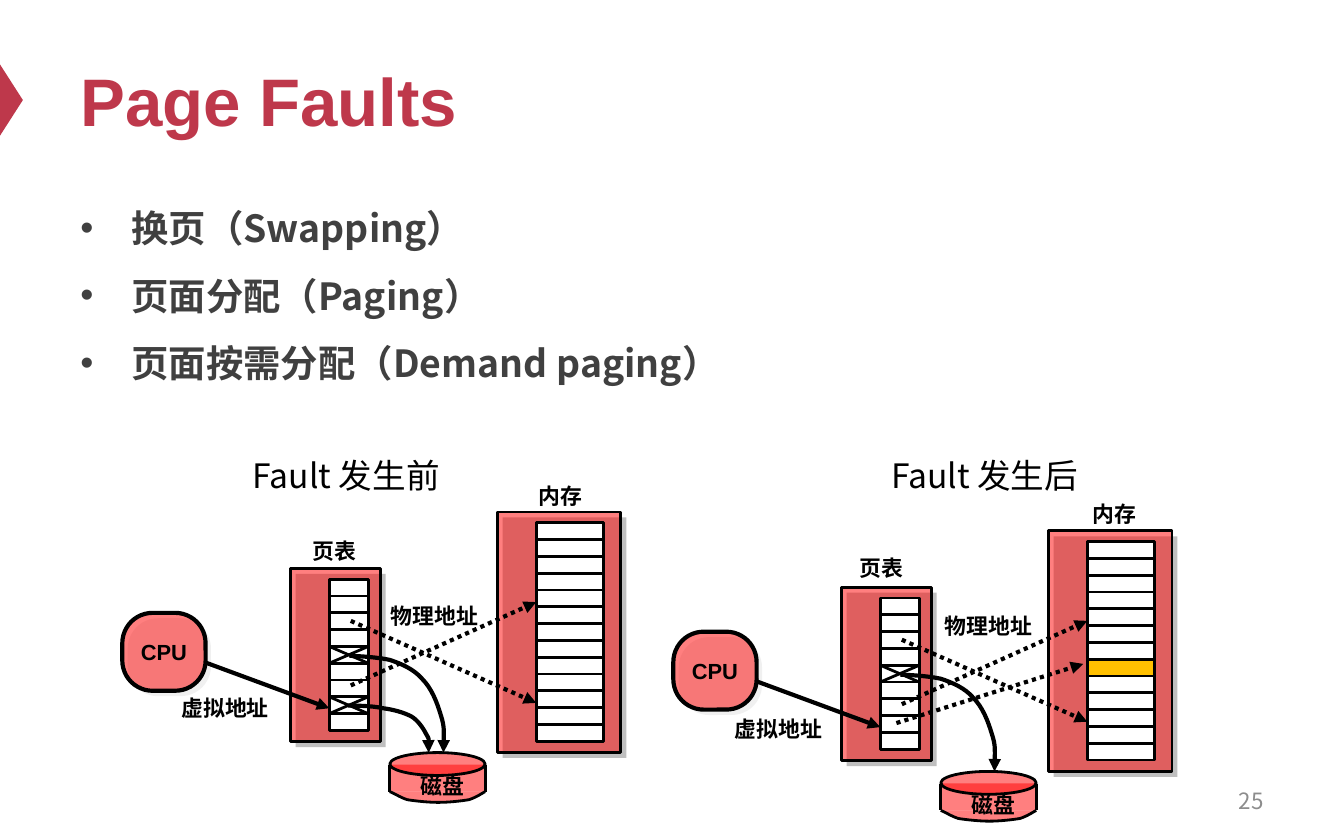
from dataclasses import dataclass
from typing import Optional

from lxml import etree
from pptx import Presentation
from pptx.dml.color import RGBColor
from pptx.enum import dml, shapes, text
from pptx.oxml.ns import qn
from pptx.util import Inches, Pt

Point = tuple[float, float]


@dataclass(frozen=True)
class Theme:
    accent: str = "BE384B"
    body: str = "404040"
    number: str = "8C8C8C"
    ink: str = "000000"
    red: str = "FF0000"
    cell: str = "FFFFFF"
    loaded: str = "FFC000"
    shadow: str = "BFBFBF"
    cpu_shadow: str = "F0F0F0"
    latin: str = "Arial"
    cjk: str = "Noto Sans CJK SC"
    title_size: float = 36
    body_size: float = 20
    caption_size: float = 18
    number_size: float = 12
    label_size: float = 11.7
    thin: float = 1.5
    thick: float = 2.25


@dataclass(frozen=True)
class Label:
    words: str
    left: float
    top: float
    width: float = 0.5
    spacing: float = 0.9


@dataclass(frozen=True)
class Panel:
    """One state of the system; dx and dy move the shared drawing."""
    caption: Label
    dx: float
    dy: float
    labels: tuple[Label, ...]
    swapped_rows: tuple[int, ...]
    disk_curves: tuple[tuple[Point, ...], ...]
    loaded_row: Optional[int] = None
    extra_mapping: tuple[tuple[Point, Point], ...] = ()

    def at(self, point: Point) -> Point:
        return point[0] + self.dx, point[1] + self.dy


THEME = Theme()
ROW_PITCH = 0.125
MAPPINGS = (((2.61, 4.62), (3.99, 5.23)), ((2.61, 5.1), (3.99, 4.48)))
DISK_BOTTOM = ((2.9, 5.89), (2.93, 5.9), (2.97, 5.93), (3.03, 5.95), (3.09, 5.96),
               (3.19, 5.97), (3.26, 5.97), (3.34, 5.97), (3.43, 5.96), (3.49, 5.95),
               (3.55, 5.93), (3.59, 5.9), (3.61, 5.89))
UPPER_CURVE = ((2.6, 4.88), (2.65, 4.88), (2.81, 4.89), (2.9, 4.91), (2.99, 4.94),
               (3.08, 4.98), (3.14, 5.05), (3.21, 5.12), (3.25, 5.22), (3.28, 5.32),
               (3.31, 5.41), (3.3, 5.54), (3.3, 5.6))
LOWER_CURVE = ((2.59, 5.25), (2.63, 5.25), (2.77, 5.25), (2.85, 5.27), (2.93, 5.28),
               (3, 5.3), (3.06, 5.33), (3.11, 5.36), (3.15, 5.42), (3.17, 5.46),
               (3.2, 5.51), (3.19, 5.57), (3.19, 5.6))
PANELS = (
    Panel(Label("Fault 发生前", 1.8, 3.38, 1.58), 0, 0,
          (Label("内存", 3.92, 3.57), Label("页表", 2.24, 3.98), Label("磁盘", 3.04, 5.73),
           Label("虚拟地址", 1.26, 5.17, 0.83, 0.8), Label("物理地址", 2.82, 4.48, 0.83, 0.8)),
          (4, 7), (UPPER_CURVE, LOWER_CURVE)),
    Panel(Label("Fault 发生后", 6.55, 3.38, 1.58), 4.1, 0.14,
          (Label("内存", 8.04, 3.71), Label("页表", 6.31, 4.11), Label("磁盘", 7.14, 5.87),
           Label("虚拟地址", 5.38, 5.32, 0.83, 0.8), Label("物理地址", 6.94, 4.56, 0.83, 0.8)),
          (4,), (UPPER_CURVE,), 7, (((2.57, 5.24), (3.96, 4.8)),)),
)


def style_font(paragraph, size: float, color: str, latin: str, bold: bool = False) -> None:
    font = paragraph.font
    font.size, font.bold, font.name = Pt(size), bold, latin
    font.color.rgb = RGBColor.from_string(color)
    etree.SubElement(font._element, qn("a:ea"), typeface=THEME.cjk)


def add_words(slide, words: str, left: float, top: float, width: float, height: float):
    frame = slide.shapes.add_textbox(Inches(left), Inches(top), Inches(width), Inches(height)).text_frame
    frame.word_wrap = True
    frame.text = words
    return frame


def tighten(frame) -> None:
    frame.margin_left = frame.margin_right = Inches(0.08)
    frame.margin_top = frame.margin_bottom = Inches(0.04)


def add_label(slide, label: Label) -> None:
    frame = add_words(slide, label.words, label.left, label.top, label.width, 0.26)
    tighten(frame)
    frame.word_wrap = False
    frame.auto_size = text.MSO_AUTO_SIZE.SHAPE_TO_FIT_TEXT
    frame.paragraphs[0].line_spacing = label.spacing
    frame.paragraphs[0].alignment = text.PP_ALIGN.CENTER
    style_font(frame.paragraphs[0], THEME.label_size, THEME.ink, THEME.latin, True)


def paint(shape, fill: Optional[str], line: float = 0, see_through: bool = False) -> None:
    shape.shadow.inherit = False
    if fill:
        shape.fill.solid()
        shape.fill.fore_color.rgb = RGBColor.from_string(fill)
        if see_through:
            color = shape._element.spPr.find(qn("a:solidFill"))[0]
            etree.SubElement(color, qn("a:alpha"), val="50000")
    else:
        shape.fill.background()
    if line:
        shape.line.width = Pt(line)
        shape.line.color.rgb = RGBColor.from_string(THEME.ink)
    else:
        shape.line.fill.background()


def add_block(slide, kind, origin: Point, width: float, height: float, fill: str,
              line: float = 0, see_through: bool = False):
    block = slide.shapes.add_shape(kind, Inches(origin[0]), Inches(origin[1]), Inches(width), Inches(height))
    paint(block, fill, line, see_through)
    return block


def add_arrowhead(line) -> None:
    etree.SubElement(line._get_or_add_ln(), qn("a:tailEnd"), type="triangle")


def add_line(slide, start: Point, end: Point, width: float = THEME.thin,
             arrow: bool = False, dotted: bool = False) -> None:
    link = slide.shapes.add_connector(shapes.MSO_CONNECTOR.STRAIGHT, *map(Inches, (*start, *end)))
    link.line.width = Pt(width)
    link.line.color.rgb = RGBColor.from_string(THEME.ink)
    if dotted:
        link.line.dash_style = dml.MSO_LINE.ROUND_DOT
    if arrow:
        add_arrowhead(link.line)
    etree.SubElement(link._element.spPr, qn("a:effectLst"))


def add_curve(slide, points: list[Point]):
    """Open Bézier chain: a start, then three points for each segment."""
    spots = [(Inches(x), Inches(y)) for x, y in points]
    builder = slide.shapes.build_freeform(*spots[0])
    builder.add_line_segments(spots[1:], close=False)
    curve = builder.convert_to_shape()
    steps = list(curve._element.iter(qn("a:lnTo")))
    for first in range(0, len(steps), 3):
        bezier = etree.Element(qn("a:cubicBezTo"))
        steps[first].addprevious(bezier)
        for step in steps[first:first + 3]:
            bezier.append(step[0])
            step.getparent().remove(step)
    return curve


def add_page_frame(slide, origin: Point, width: float, cell_width: float, rows: int,
                   loaded_row: Optional[int] = None) -> list[Point]:
    """Draw a shadowed frame of cells and return the corners of the cells."""
    rect, height = shapes.MSO_SHAPE.RECTANGLE, rows * ROW_PITCH + 0.165
    left, top = origin
    add_block(slide, rect, (left + 0.04, top + 0.04), width, height, THEME.shadow)
    add_block(slide, rect, origin, width, height, THEME.red, THEME.thin, True)
    corners = [(left + 0.29, top + 0.08 + row * ROW_PITCH) for row in range(rows)]
    for row, corner in enumerate(corners):
        fill = THEME.loaded if row == loaded_row else THEME.cell
        add_block(slide, rect, corner, cell_width, ROW_PITCH, fill, THEME.thin)
    return corners


def add_cpu(slide, origin: Point) -> None:
    rounded = shapes.MSO_SHAPE.ROUNDED_RECTANGLE
    shade = add_block(slide, rounded, (origin[0] + 0.04, origin[1] + 0.04), 0.62, 0.58, THEME.cpu_shadow)
    cpu = add_block(slide, rounded, origin, 0.62, 0.58, THEME.red, THEME.thick, True)
    shade.adjustments[0] = cpu.adjustments[0] = 0.39
    frame = cpu.text_frame
    tighten(frame)
    frame.word_wrap = False
    frame.text = "CPU"
    frame.vertical_anchor = text.MSO_ANCHOR.MIDDLE
    frame.paragraphs[0].alignment = text.PP_ALIGN.CENTER
    style_font(frame.paragraphs[0], THEME.label_size, THEME.ink, THEME.latin, True)


def add_disk(slide, panel: Panel) -> None:
    add_block(slide, shapes.MSO_SHAPE.RECTANGLE, panel.at((2.9, 5.69)), 0.71, 0.2, THEME.red, 0, True)
    add_block(slide, shapes.MSO_SHAPE.OVAL, panel.at((2.9, 5.6)), 0.71, 0.17, THEME.red, THEME.thin, True)
    for side in (2.9, 3.61):
        add_line(slide, panel.at((side, 5.69)), panel.at((side, 5.89)))
    paint(add_curve(slide, [panel.at(p) for p in DISK_BOTTOM]), THEME.red, THEME.thin, True)


def add_panel(slide, panel: Panel) -> None:
    add_cpu(slide, panel.at((0.91, 4.56)))
    add_page_frame(slide, panel.at((3.7, 3.81)), 0.92, 0.5, 13, panel.loaded_row)
    entries = add_page_frame(slide, panel.at((2.16, 4.23)), 0.67, 0.29, 9)
    for row in panel.swapped_rows:
        left, top = entries[row]
        right, bottom = left + 0.29, top + ROW_PITCH
        add_line(slide, (left, bottom), (right, top))
        add_line(slide, (right, bottom), (left, top))
    for start, end in MAPPINGS + panel.extra_mapping:
        add_line(slide, panel.at(start), panel.at(end), THEME.thick, arrow=True, dotted=True)
    add_disk(slide, panel)
    for points in panel.disk_curves:
        curve = add_curve(slide, [panel.at(p) for p in points])
        paint(curve, None, THEME.thick)
        add_arrowhead(curve.line)
    for label in panel.labels:
        add_label(slide, label)
    add_line(slide, panel.at((1.53, 4.93)), panel.at((2.45, 5.27)), THEME.thick, arrow=True)
    caption = panel.caption
    frame = add_words(slide, caption.words, caption.left, caption.top, caption.width, 0.35)
    tighten(frame)
    frame.paragraphs[0].line_spacing = caption.spacing
    style_font(frame.paragraphs[0], THEME.caption_size, THEME.ink, THEME.cjk)


def add_headings(slide) -> None:
    marker = add_block(slide, shapes.MSO_SHAPE.ISOSCELES_TRIANGLE, (-0.18, 0.66), 0.53, 0.17, THEME.accent)
    marker.rotation = 90
    title = add_words(slide, "Page Faults", 0.5, 0.25, 9, 0.98)
    title.vertical_anchor = text.MSO_ANCHOR.MIDDLE
    style_font(title.paragraphs[0], THEME.title_size, THEME.accent, THEME.latin, True)
    topics = add_words(slide, "换页（Swapping）\n页面分配（Paging）\n页面按需分配（Demand paging）", 0.5, 1.48, 9, 1.27)
    for topic in topics.paragraphs:
        topic.space_after = Pt(12)
        style_font(topic, THEME.body_size, THEME.body, THEME.cjk, True)
        layout = topic._p.get_or_add_pPr()
        layout.set("marL", str(Inches(0.38)))
        layout.set("indent", str(-Inches(0.38)))
        bullet_font, bullet = etree.Element(qn("a:buFont"), typeface=THEME.latin), etree.Element(qn("a:buChar"), char="•")
        layout.find(qn("a:defRPr")).addprevious(bullet_font)
        bullet_font.addnext(bullet)
    number = add_words(slide, "25", 7.17, 5.79, 2.33, 0.33)
    number.vertical_anchor = text.MSO_ANCHOR.MIDDLE
    number.paragraphs[0].alignment = text.PP_ALIGN.RIGHT
    style_font(number.paragraphs[0], THEME.number_size, THEME.number, THEME.cjk)


def main() -> None:
    deck = Presentation()
    deck.slide_width, deck.slide_height = Inches(10), Inches(6.25)
    slide = deck.slides.add_slide(deck.slide_layouts[6])
    add_headings(slide)
    for panel in PANELS:
        add_panel(slide, panel)
    deck.save("out.pptx")


if __name__ == "__main__":
    main()
